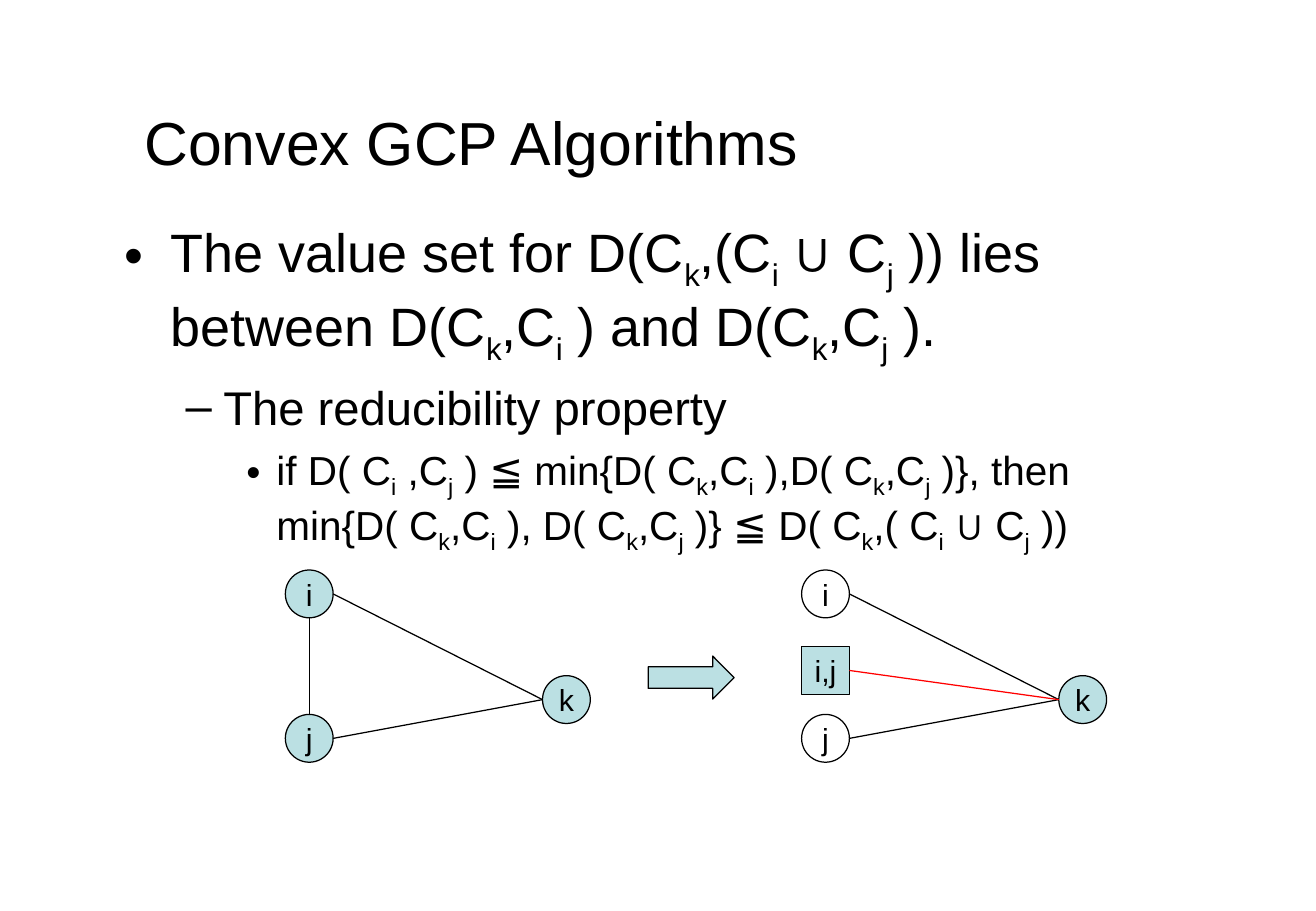
from lxml import etree
from pptx import Presentation
from pptx import util as u
from pptx.dml.color import RGBColor
from pptx.enum import shapes, text
from pptx.oxml import ns

BLACK, RED, TEAL = "000000", "FF0000", "BBE0E3"
NODE = 1.0
K_SHIFT = 5.38
I_TOP, MERGED_TOP, K_TOP, J_TOP = 11.92, 13.52, 14.13, 14.94

POINTS = [
    ("The value set for D(C_k,(C_i ∪ C_j )) lies between D(C_k,C_i ) and D(C_k,C_j ).",
     32, "•", 0.96, 0.96, 0),
    ("The reducibility property", 28, "–", 2.06, 0.79, 7),
    ("if D( C_i ,C_j ) ≦ min{D( C_k,C_i ),D( C_k,C_j )}, then "
     "min{D( C_k,C_i ), D( C_k,C_j )} ≦ D( C_k,( C_i ∪ C_j ))",
     24, "•", 3.17, 0.63, 6),
]


def colour(value):
    return RGBColor.from_string(value)


def place(shape, left, top, width, height):
    shape.left, shape.top = u.Cm(left), u.Cm(top)
    shape.width, shape.height = u.Cm(width), u.Cm(height)


def style_font(font, size):
    font.name = "Arial"
    font.size = u.Pt(size)
    font.color.rgb = colour(BLACK)


def add_span(para, words, size, subscript=False):
    span = para.add_run()
    span.text = words
    style_font(span.font, size)
    if subscript:
        span.font._element.set("baseline", "-25000")


def add_spans(para, words, size):
    first, *rest = words.split("_")
    add_span(para, first, size)
    for part in rest:
        add_span(para, part[0], size, subscript=True)
        if part[1:]:
            add_span(para, part[1:], size)


def set_bullet(para, char, margin, hang):
    properties = para._p.get_or_add_pPr()
    properties.set("marL", str(u.Cm(margin)))
    properties.set("indent", str(-u.Cm(hang)))
    bullet_colour = etree.SubElement(properties, ns.qn("a:buClr"))
    etree.SubElement(bullet_colour, ns.qn("a:srgbClr")).set("val", BLACK)
    etree.SubElement(properties, ns.qn("a:buFont")).set("typeface", "Arial")
    etree.SubElement(properties, ns.qn("a:buChar")).set("char", char)


def fill_title(title):
    place(title, 2.36, 1.57, 14.99, 2.77)
    frame = title.text_frame
    frame.text = "Convex GCP Algorithms"
    frame.auto_size = text.MSO_AUTO_SIZE.NONE
    frame.vertical_anchor = text.MSO_ANCHOR.MIDDLE
    para = frame.paragraphs[0]
    para.alignment = text.PP_ALIGN.CENTER
    style_font(para.runs[0].font, 36)


def fill_body(body):
    place(body, 2.36, 4.45, 22.81, 11.68)
    frame = body.text_frame
    frame.auto_size = text.MSO_AUTO_SIZE.NONE
    frame.vertical_anchor = text.MSO_ANCHOR.TOP
    for level, (words, size, char, margin, hang, before) in enumerate(POINTS):
        para = frame.add_paragraph() if level else frame.paragraphs[0]
        para.level = level
        set_bullet(para, char, margin, hang)
        para.space_before = u.Pt(before)
        add_spans(para, words, size)


def add_box(page, kind, left, top, width, height, fill):
    box = page.shapes.add_shape(
        kind, u.Cm(left), u.Cm(top), u.Cm(width), u.Cm(height))
    box.shadow.inherit = False
    if fill:
        box.fill.solid()
        box.fill.fore_color.rgb = colour(fill)
    else:
        box.fill.background()
    box.line.color.rgb = colour(BLACK)
    box.line.width = u.Pt(0.75)
    return box


def add_node(page, label, left, top, fill, kind=shapes.MSO_SHAPE.OVAL):
    node = add_box(page, kind, left, top, NODE, NODE, fill)
    frame = node.text_frame
    frame.text = label
    frame.word_wrap = False
    frame.vertical_anchor = text.MSO_ANCHOR.MIDDLE
    para = frame.paragraphs[0]
    para.alignment = text.PP_ALIGN.CENTER
    style_font(para.runs[0].font, 18)


def add_edge(page, x1, y1, x2, y2, line=BLACK):
    edge = page.shapes.add_connector(
        shapes.MSO_CONNECTOR.STRAIGHT, u.Cm(x1), u.Cm(y1), u.Cm(x2), u.Cm(y2))
    edge.line.color.rgb = colour(line)
    edge.line.width = u.Pt(0.75)
    etree.SubElement(edge._element.spPr, ns.qn("a:effectLst"))


def add_edge_to_k(page, left, top, line=BLACK):
    half = NODE / 2
    add_edge(page, left + NODE, top + half, left + K_SHIFT, K_TOP + half, line)


def add_graph(page, left, pair_fill):
    for label, top in (("i", I_TOP), ("j", J_TOP)):
        add_node(page, label, left, top, pair_fill)
        add_edge_to_k(page, left, top)
    add_node(page, "k", left + K_SHIFT, K_TOP, TEAL)


def main():
    deck = Presentation()
    deck.slide_width, deck.slide_height = u.Cm(27.53), u.Cm(19.05)
    page = deck.slides.add_slide(deck.slide_layouts[1])
    fill_title(page.shapes.title)
    fill_body(page.placeholders[1])

    before, after = 5.97, 16.77
    add_graph(page, before, TEAL)
    middle = before + NODE / 2
    add_edge(page, middle, I_TOP + NODE, middle, J_TOP)

    add_graph(page, after, None)
    add_node(page, "i,j", after, MERGED_TOP, TEAL, shapes.MSO_SHAPE.RECTANGLE)
    add_edge_to_k(page, after, MERGED_TOP, RED)

    add_box(page, shapes.MSO_SHAPE.RIGHT_ARROW, 13.56, 13.72, 1.8, 0.9, TEAL)
    deck.save("out.pptx")


if __name__ == "__main__":
    main()
